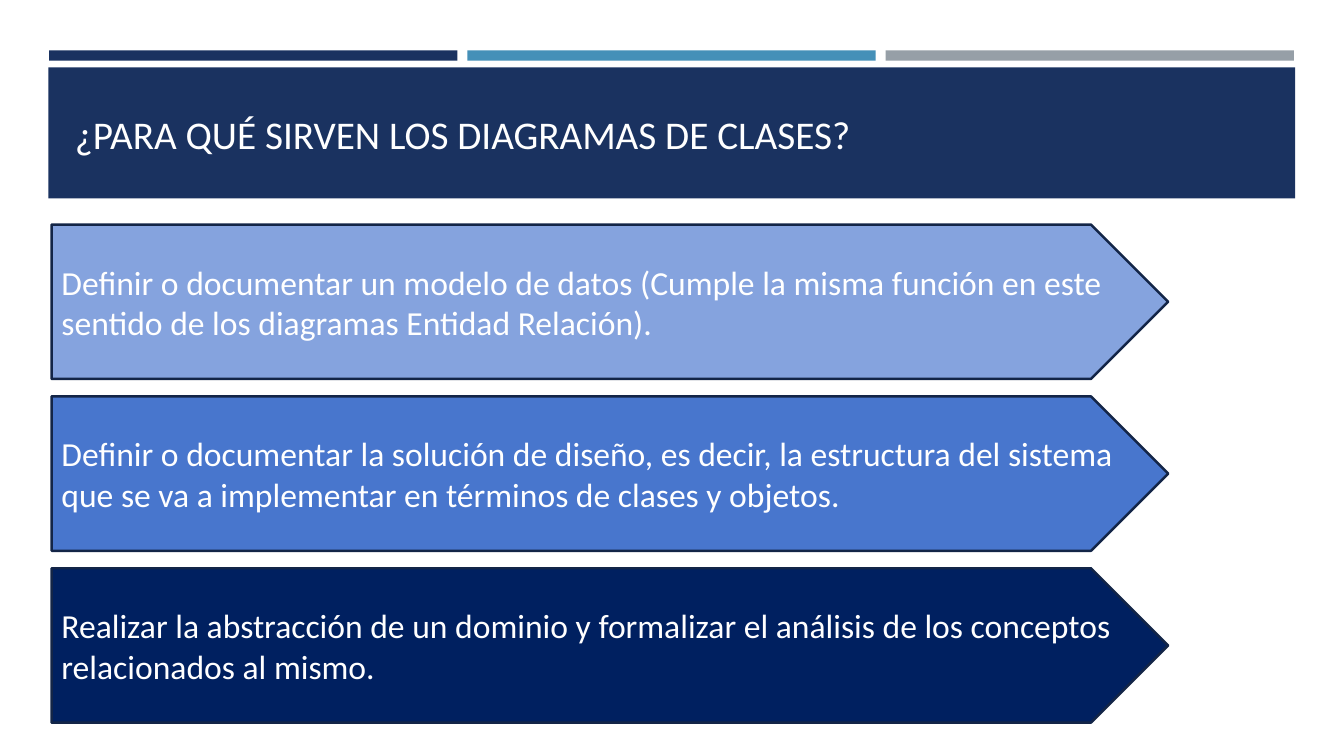
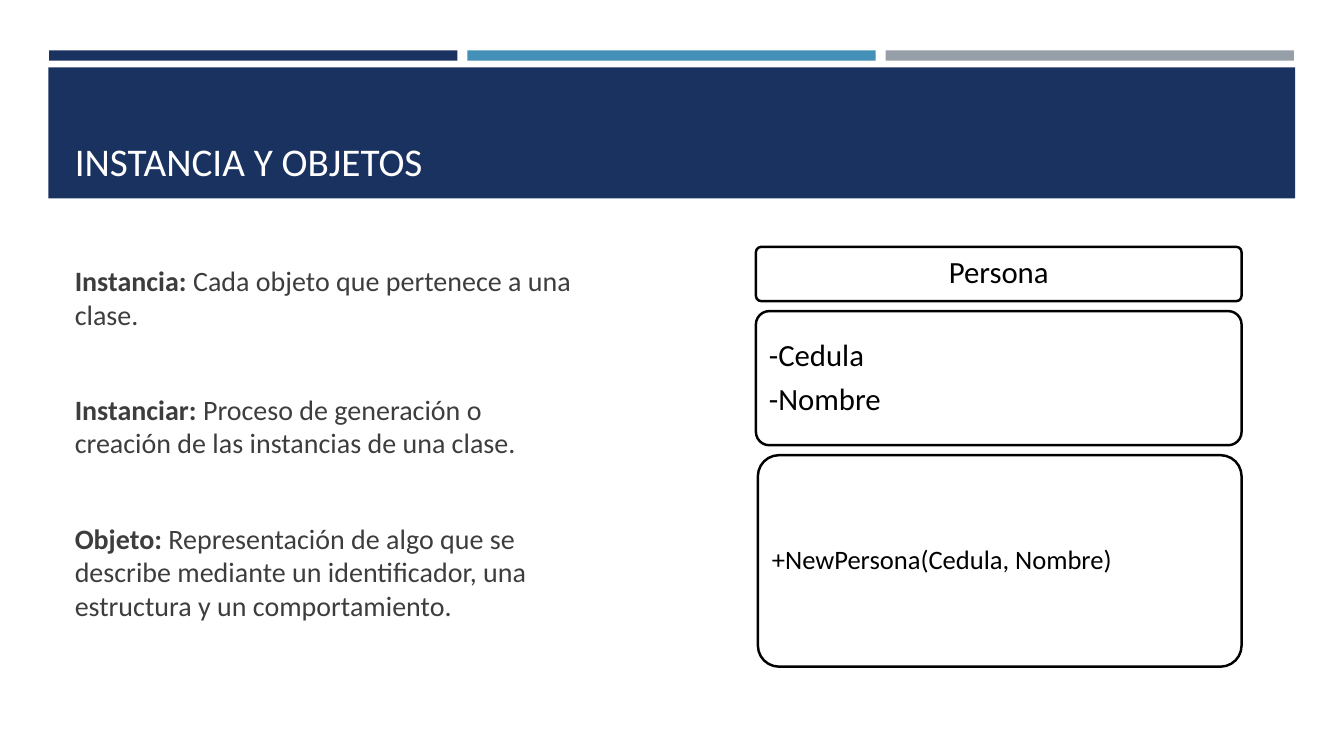
import dataclasses

import lxml.etree
import pptx
import pptx.dml.color
import pptx.enum.shapes
import pptx.enum.text
import pptx.oxml.ns
import pptx.util

Cm = pptx.util.Cm
Pt = pptx.util.Pt
RGB = pptx.dml.color.RGBColor.from_string
SHAPE = pptx.enum.shapes.MSO_SHAPE
ANCHOR = pptx.enum.text.MSO_ANCHOR
ALIGN = pptx.enum.text.PP_ALIGN
qn = pptx.oxml.ns.qn


@dataclasses.dataclass(frozen=True)
class Theme:
    font: str = "Calibri"
    navy: str = "1A3260"
    sky: str = "4590B8"
    grey: str = "969FA7"
    outline: str = "132547"
    light_blue: str = "85A3DE"
    mid_blue: str = "4876CD"
    deep_blue: str = "002060"
    white: str = "FFFFFF"
    black: str = "000000"
    body: str = "3D3D3D"
    title_size: int = 28
    purpose_size: int = 24
    body_size: int = 20
    class_size: int = 22
    method_size: int = 19
    line_width: float = 1.75


theme = Theme()


def add_box(slide, kind, box, fill, line=None):
    """Add a flat shape; box is left, top, width and height in centimetres."""
    shape = slide.shapes.add_shape(kind, *map(Cm, box))
    shape.shadow.inherit = False
    shape.fill.solid()
    shape.fill.fore_color.rgb = RGB(fill)
    if line:
        shape.line.color.rgb = RGB(line)
        shape.line.width = Pt(theme.line_width)
    else:
        shape.line.fill.background()
    return shape


def format_text(paragraph, size, color, align=ALIGN.LEFT):
    paragraph.alignment = align
    for run in paragraph.runs:
        run.font.name = theme.font
        run.font.size = Pt(size)
        run.font.color.rgb = RGB(color)


prs = pptx.Presentation()
prs.slide_width, prs.slide_height = Cm(33.87), Cm(19.05)
master = prs.slide_master
purpose_slide = prs.slides.add_slide(prs.slide_layouts[5])
instance_slide = prs.slides.add_slide(prs.slide_layouts[1])

# Shared bands: built once, then moved to the back of the master
bands = [((1.22, 1.7, 31.42, 3.3), theme.navy)]
for column, color in enumerate((theme.navy, theme.sky, theme.grey)):
    bands.append(((1.24 + column * 10.54, 1.27, 10.29, 0.26), color))
for number, (box, color) in enumerate(bands):
    band = add_box(purpose_slide, SHAPE.RECTANGLE, box, color)
    band.element.nvSpPr.cNvPr.id = 101 + number
    master.shapes.element.insert(2 + number, band.element)

# Shared title style
master_title = master.placeholders[0]
master_title.left, master_title.top = Cm(1.63), Cm(1.96)
master_title.width, master_title.height = Cm(30.63), Cm(2.82)
master_title.text_frame.vertical_anchor = ANCHOR.MIDDLE
title_style = master.element.xpath(".//p:titleStyle/a:lvl1pPr")[0]
title_style.set("algn", "l")
title_font = title_style.find(qn("a:defRPr"))
title_font.set("sz", str(theme.title_size * 100))
title_fill = title_font.find(qn("a:solidFill"))
title_fill.clear()
lxml.etree.SubElement(title_fill, qn("a:srgbClr"), val=theme.white)

# Slide 1: purposes of class diagrams
purpose_slide.shapes.title.text_frame.text = "¿PARA QUÉ SIRVEN LOS DIAGRAMAS DE CLASES?"
purposes = [
    ("Definir o documentar un modelo de datos (Cumple la misma función en este "
     "sentido de los diagramas Entidad Relación).", theme.light_blue),
    ("Definir o documentar la solución de diseño, es decir, la estructura del sistema "
     "que se va a implementar en términos de clases y objetos.", theme.mid_blue),
    ("Realizar la abstracción de un dominio y formalizar el análisis de los conceptos "
     "relacionados al mismo.", theme.deep_blue),
]
for row, (purpose, color) in enumerate(purposes):
    arrow = add_box(purpose_slide, SHAPE.PENTAGON, (1.3, 5.66 + row * 4.33, 28.14, 3.89),
                    color, theme.outline)
    arrow.text_frame.text = purpose
    arrow.text_frame.vertical_anchor = ANCHOR.MIDDLE
    format_text(arrow.text_frame.paragraphs[0], theme.purpose_size, theme.white)

# Slide 2: definitions beside a class diagram
instance_slide.shapes.title.text_frame.text = "INSTANCIA Y OBJETOS"
instance_slide.shapes.title.text_frame.vertical_anchor = ANCHOR.BOTTOM

definitions = [
    ("Instancia: ", "Cada objeto que pertenece a una clase."),
    ("Instanciar: ", "Proceso de generación o creación de las instancias de una clase."),
    ("Objeto: ", "Representación de algo que se describe mediante un identificador, "
     "una estructura y un comportamiento."),
]
definition_list = instance_slide.placeholders[1]
definition_list.left, definition_list.top = Cm(1.63), Cm(6.05)
definition_list.width, definition_list.height = Cm(13.06), Cm(10.21)
definition_frame = definition_list.text_frame
definition_frame.auto_size = pptx.enum.text.MSO_AUTO_SIZE.NONE
definition_frame.vertical_anchor = ANCHOR.MIDDLE
definition_frame.text = "\n".join(term + meaning for term, meaning in definitions)
for index, (term, meaning) in enumerate(definitions):
    paragraph = definition_frame.paragraphs[index]
    properties = paragraph._p.get_or_add_pPr()
    properties.set("marL", "0")
    properties.set("indent", "0")
    lxml.etree.SubElement(properties, qn("a:buNone"))
    paragraph.runs[0].text = term
    paragraph.add_run().text = meaning
    paragraph.runs[0].font.bold = True
    paragraph.space_before = Pt(44 if index else 0)
    format_text(paragraph, theme.body_size, theme.body)

compartments = [
    (["Persona"], 19.05, 1.37, theme.class_size, ALIGN.CENTER, 0.23),
    (["-Cedula", "-Nombre"], 19.05, 3.38, theme.class_size, ALIGN.LEFT, 0.23),
    (["+NewPersona(Cedula, Nombre)"], 19.1, 5.33, theme.method_size, ALIGN.LEFT, 0.2),
]
right, top, gap = 31.29, 6.22, 0.25
for members, left, height, size, align, inset in compartments:
    compartment = add_box(instance_slide, SHAPE.ROUNDED_RECTANGLE,
                          (left, top, right - left, height), theme.white, theme.black)
    compartment.adjustments[0] = 0.1
    frame = compartment.text_frame
    frame.margin_left = frame.margin_right = frame.margin_top = frame.margin_bottom = Cm(inset)
    frame.vertical_anchor = ANCHOR.MIDDLE
    frame.text = "\n".join(members)
    for index, paragraph in enumerate(frame.paragraphs):
        paragraph.line_spacing = 0.9
        paragraph.space_before = Pt(7.7 if index else 0)
        format_text(paragraph, size, theme.black, align)
    top += height + gap

prs.save("out.pptx")
